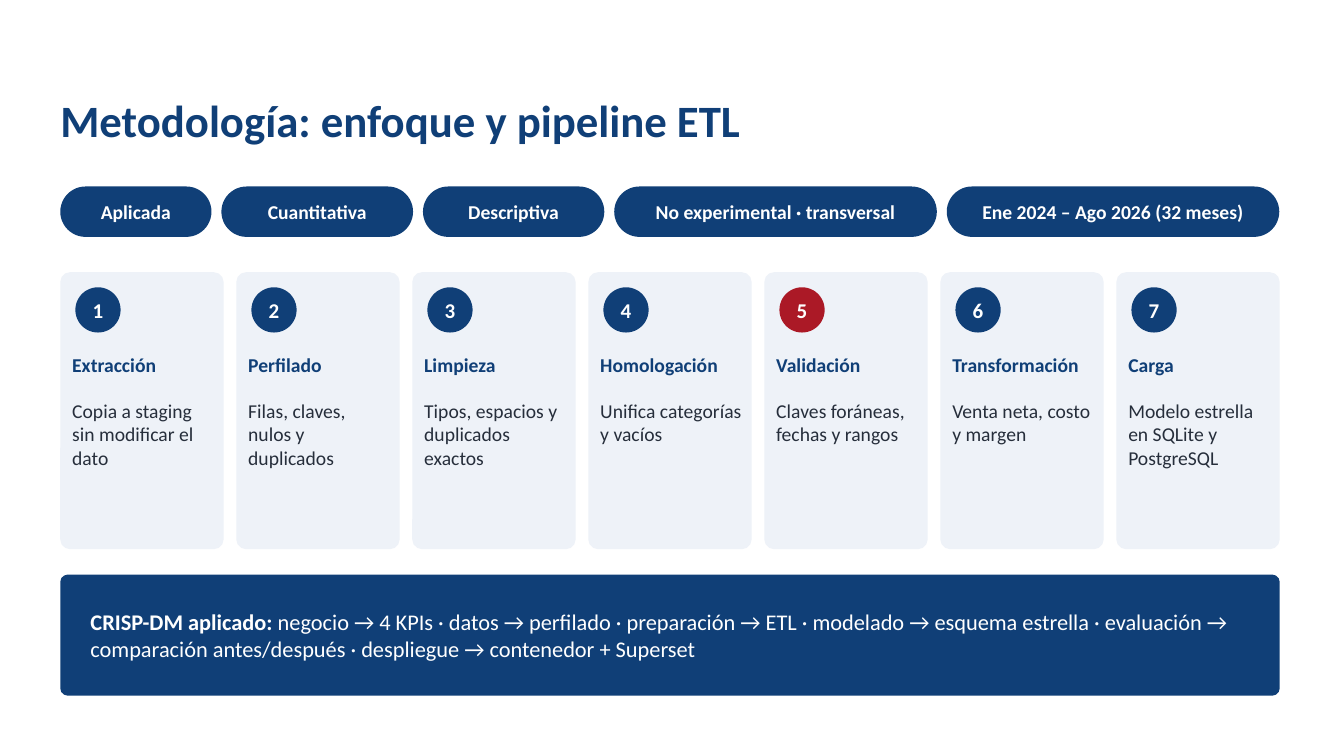
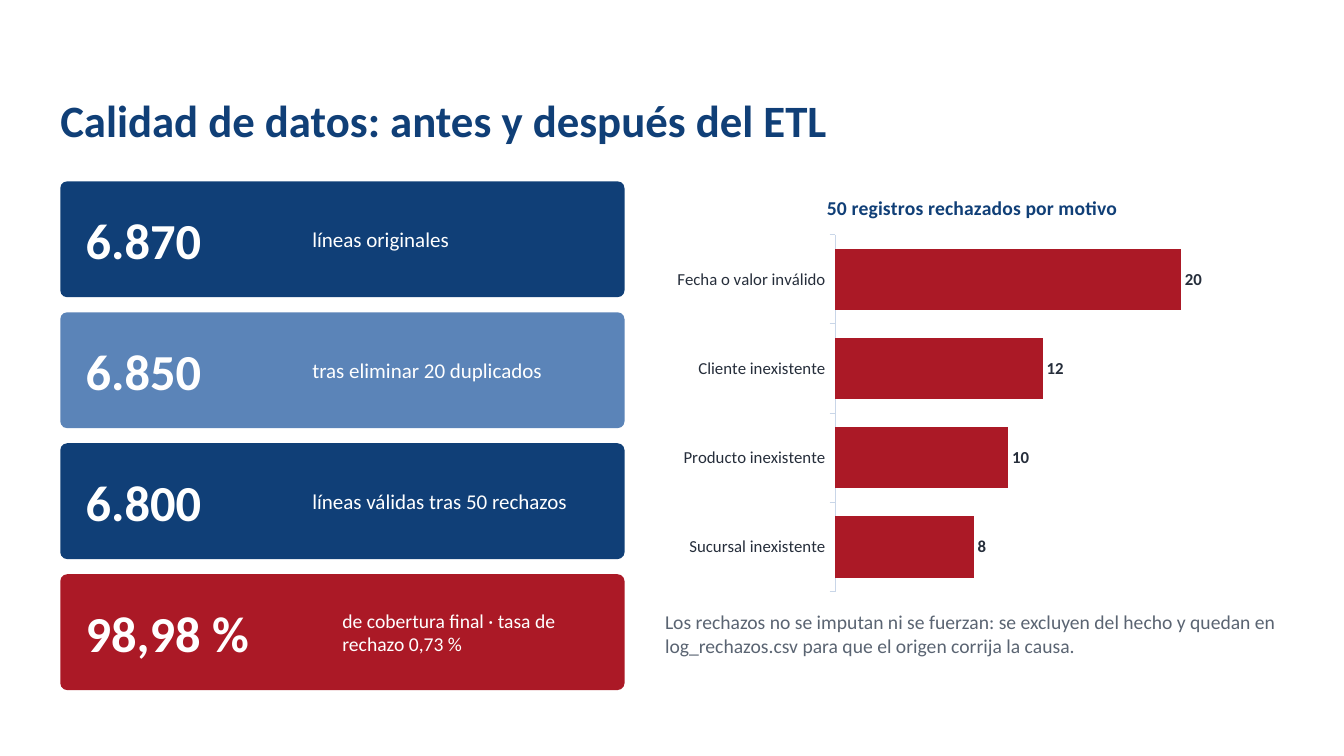
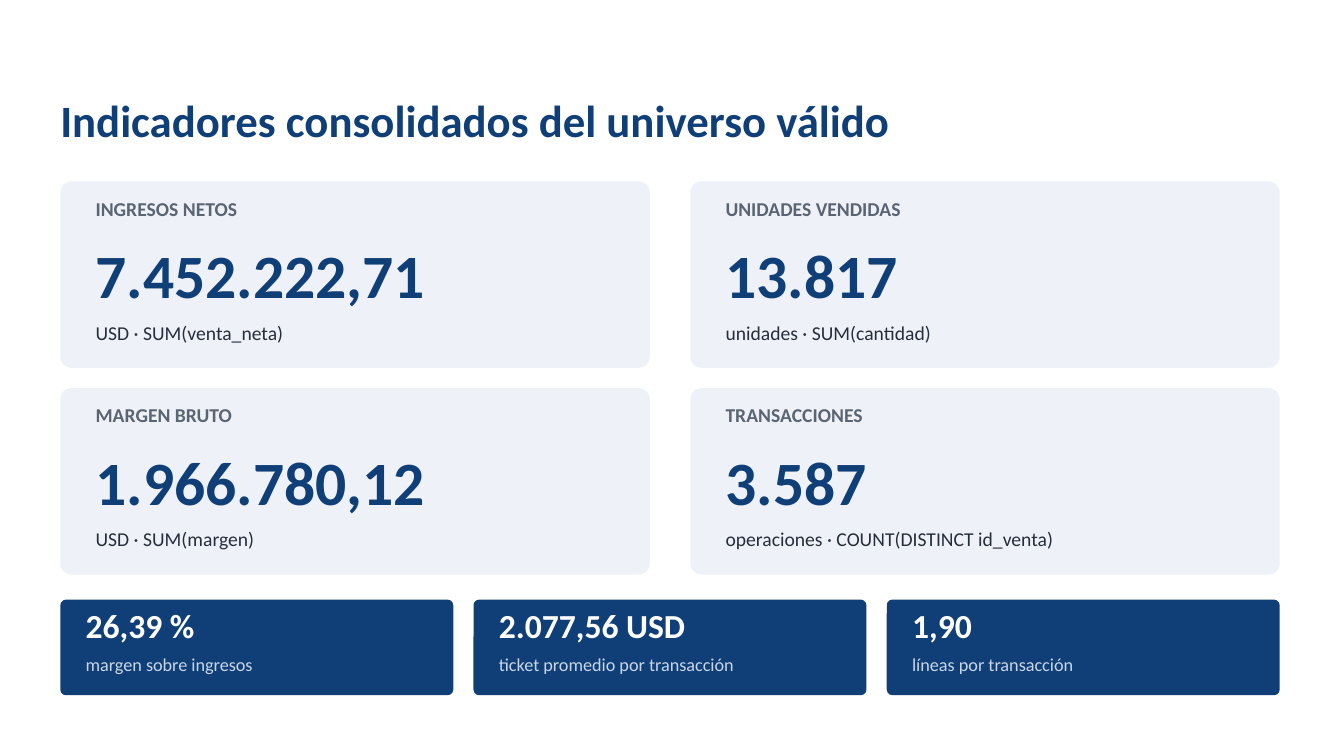
from dataclasses import dataclass

from pptx import Presentation
from pptx.chart.data import CategoryChartData as ChartData
from pptx.dml.color import RGBColor as RGB
from pptx.enum.chart import XL_CHART_TYPE as Kind
from pptx.enum.chart import XL_LABEL_POSITION as Place
from pptx.enum.chart import XL_TICK_MARK as Tick
from pptx.enum.shapes import MSO_SHAPE as Geo
from pptx.enum.text import MSO_ANCHOR as Anchor
from pptx.enum.text import MSO_AUTO_SIZE as Fit
from pptx.enum.text import PP_ALIGN as Align
from pptx.util import Cm, Pt


@dataclass(frozen=True)
class Theme:
    face: str = "Calibri"
    navy: str = "103F77"
    sky: str = "5B84B8"
    red: str = "AB1926"
    pale: str = "EEF2F8"
    mist: str = "C9D6E8"
    ink: str = "262E3B"
    gray: str = "5A6472"
    white: str = "FFFFFF"
    head: int = 32
    huge: int = 44
    big: int = 36
    mid: int = 24
    lead: int = 16
    label: int = 15
    body: int = 14
    small: int = 13
    tiny: int = 12
    left: float = 1.52
    width: float = 30.73
    round: float = 0.06


T = Theme()


def style(font, size, color, bold=False):
    font.name = T.face
    font.size = Pt(size)
    font.bold = bold
    font.color.rgb = RGB.from_string(color)


def place(x, y, w, h):
    return Cm(x), Cm(y), Cm(w), Cm(h)


def split(count, gap):
    wide = (T.width - gap * (count - 1)) / count
    return [T.left + i * (wide + gap) for i in range(count)], wide


def bare(frame, anchor):
    frame.margin_left = frame.margin_right = 0
    frame.margin_top = frame.margin_bottom = 0
    frame.word_wrap = True
    frame.vertical_anchor = anchor


def text(slide, area, words, size, color, bold=False, anchor=Anchor.TOP):
    frame = slide.shapes.add_textbox(*place(*area)).text_frame
    bare(frame, anchor)
    frame.auto_size = Fit.SHAPE_TO_FIT_TEXT
    para = frame.paragraphs[0]
    if words:
        para.text = words
    style(para.font, size, color, bold)
    return para


def shape(slide, geo, area, fill):
    item = slide.shapes.add_shape(geo, *place(*area))
    item.shadow.inherit = False
    item.fill.solid()
    item.fill.fore_color.rgb = RGB.from_string(fill)
    item.line.fill.background()
    return item


def card(slide, area, fill, bend=T.round):
    item = shape(slide, Geo.ROUNDED_RECTANGLE, area, fill)
    item.adjustments[0] = bend
    return item


def center(item, words, size):
    bare(item.text_frame, Anchor.MIDDLE)
    para = item.text_frame.paragraphs[0]
    para.text = words
    para.alignment = Align.CENTER
    style(para.font, size, T.white, True)


def page(deck, title):
    slide = deck.slides.add_slide(deck.slide_layouts[6])
    para = text(slide, (T.left, 2.08, T.width, 2.03), title,
                T.head, T.navy, True, Anchor.MIDDLE)
    para.line_spacing = 0.9
    return slide


def pills(slide, items):
    x = T.left
    for words, wide in items:
        center(card(slide, (x, 4.7, wide, 1.27), T.navy, 0.5), words, T.body)
        x += wide + 0.25


def step(slide, x, wide, num, name, note):
    top = 6.86
    card(slide, (x, top, wide, 6.98), T.pale)
    fill = T.red if num == 5 else T.navy
    dot = shape(slide, Geo.OVAL, (x + 0.38, top + 0.38, 1.14, 1.14), fill)
    center(dot, str(num), T.label)
    text(slide, (x + 0.3, top + 2.03, 3.61, 1.02), name, T.body, T.navy, True)
    text(slide, (x + 0.3, top + 3.18, 3.61, 3.68), note, T.body, T.ink)


def band(slide, lead, rest):
    card(slide, (T.left, 14.48, T.width, 3.05), T.navy)
    para = text(slide, (T.left + 0.76, 14.73, 29.21, 2.54), "",
                T.lead, T.white, anchor=Anchor.MIDDLE)
    run = para.add_run()
    run.text = lead
    run.font.bold = True
    para.add_run().text = rest


def tally(slide, y, fill, value, note, wide=5.84, size=T.label):
    card(slide, (T.left, y, 14.22, 2.92), fill)
    x = T.left + 0.64
    text(slide, (x, y + 0.25, wide, 2.41), value,
         T.big, T.white, True, Anchor.MIDDLE)
    x += wide - 0.13
    text(slide, (x, y + 0.25, 15.24 - x, 2.41), note,
         size, T.white, anchor=Anchor.MIDDLE)


def bars(slide, area, title, rows):
    data = ChartData(number_format="#,##0")
    data.categories = [name for name, count in rows]
    data.add_series("Series 1", [count for name, count in rows])
    frame = slide.shapes.add_chart(Kind.BAR_CLUSTERED, *place(*area), data)
    chart = frame.chart
    style(chart.font, T.tiny, T.ink)
    chart.has_legend = False
    chart.has_title = True
    para = chart.chart_title.text_frame.paragraphs[0]
    para.text = title
    style(para.font, T.body, T.navy, True)
    chart.chart_title.include_in_layout = False

    axis = chart.category_axis
    axis.reverse_order = True
    axis.has_major_gridlines = False
    axis.major_tick_mark = Tick.OUTSIDE
    axis.format.line.color.rgb = RGB.from_string(T.mist)
    axis.format.line.width = Pt(0.75)
    style(axis.tick_labels.font, T.tiny, T.ink)
    scale = chart.value_axis
    scale.visible = False
    scale.has_major_gridlines = False
    scale.minimum_scale = 0

    plot = chart.plots[0]
    plot.gap_width = 45
    plot.vary_by_categories = False
    fill = plot.series[0].format.fill
    fill.solid()
    fill.fore_color.rgb = RGB.from_string(T.red)
    plot.has_data_labels = True
    tags = plot.data_labels
    tags.show_value = True
    tags.position = Place.OUTSIDE_END
    tags.number_format = "#,##0"
    tags.number_format_is_linked = False
    style(tags.font, T.tiny, T.ink, True)


def metric(slide, x, y, wide, name, value, note):
    card(slide, (x, y, wide, 4.7), T.pale)
    x += 0.89
    text(slide, (x, y + 0.38, 13.21, 1.02), name, T.body, T.gray, True)
    text(slide, (x, y + 1.4, 13.21, 2.16), value, T.huge, T.navy, True)
    text(slide, (x, y + 3.51, 13.21, 1.02), note, T.body, T.ink)


def ratio(slide, x, wide, value, note):
    top = 15.11
    card(slide, (x, top, wide, 2.41), T.navy)
    x += 0.64
    text(slide, (x, top + 0.13, 8.64, 1.27), value, T.mid, T.white, True)
    text(slide, (x, top + 1.35, 8.64, 0.89), note, T.small, T.mist)


def method(deck):
    slide = page(deck, "Metodología: enfoque y pipeline ETL")
    pills(slide, [
        ("Aplicada", 3.81),
        ("Cuantitativa", 4.83),
        ("Descriptiva", 4.57),
        ("No experimental · transversal", 8.13),
        ("Ene 2024 – Ago 2026 (32 meses)", 8.38),
    ])
    steps = [
        ("Extracción", "Copia a staging sin modificar el dato"),
        ("Perfilado", "Filas, claves, nulos y duplicados"),
        ("Limpieza", "Tipos, espacios y duplicados exactos"),
        ("Homologación", "Unifica categorías y vacíos"),
        ("Validación", "Claves foráneas, fechas y rangos"),
        ("Transformación", "Venta neta, costo y margen"),
        ("Carga", "Modelo estrella en SQLite y PostgreSQL"),
    ]
    lefts, wide = split(len(steps), 0.32)
    for num, (x, (name, note)) in enumerate(zip(lefts, steps), 1):
        step(slide, x, wide, num, name, note)
    band(slide, "CRISP-DM aplicado: ",
         "negocio → 4 KPIs · datos → perfilado · preparación → ETL · "
         "modelado → esquema estrella · evaluación → comparación "
         "antes/después · despliegue → contenedor + Superset")


def quality(deck):
    slide = page(deck, "Calidad de datos: antes y después del ETL")
    rows = [
        (T.navy, "6.870", "líneas originales"),
        (T.sky, "6.850", "tras eliminar 20 duplicados"),
        (T.navy, "6.800", "líneas válidas tras 50 rechazos"),
        (T.red, "98,98 %", "de cobertura final · tasa de rechazo 0,73 %",
         6.6, T.body),
    ]
    for i, row in enumerate(rows):
        tally(slide, 4.57 + i * 3.3, *row)
    bars(slide, (16.76, 4.45, 15.49, 10.67),
         "50 registros rechazados por motivo", [
             ("Fecha o valor inválido", 20),
             ("Cliente inexistente", 12),
             ("Producto inexistente", 10),
             ("Sucursal inexistente", 8),
         ])
    text(slide, (16.76, 15.37, 15.49, 2.03),
         "Los rechazos no se imputan ni se fuerzan: se excluyen del hecho y "
         "quedan en log_rechazos.csv para que el origen corrija la causa.",
         T.body, T.gray)


def results(deck):
    slide = page(deck, "Indicadores consolidados del universo válido")
    facts = [
        ("INGRESOS NETOS", "7.452.222,71", "USD · SUM(venta_neta)"),
        ("UNIDADES VENDIDAS", "13.817", "unidades · SUM(cantidad)"),
        ("MARGEN BRUTO", "1.966.780,12", "USD · SUM(margen)"),
        ("TRANSACCIONES", "3.587", "operaciones · COUNT(DISTINCT id_venta)"),
    ]
    lefts, wide = split(2, 1.02)
    for i, fact in enumerate(facts):
        row, col = divmod(i, 2)
        metric(slide, lefts[col], 4.57 + row * 5.21, wide, *fact)
    rates = [
        ("26,39 %", "margen sobre ingresos"),
        ("2.077,56 USD", "ticket promedio por transacción"),
        ("1,90", "líneas por transacción"),
    ]
    lefts, wide = split(len(rates), 0.51)
    for x, rate in zip(lefts, rates):
        ratio(slide, x, wide, *rate)


def main():
    deck = Presentation()
    deck.slide_width = Cm(33.87)
    deck.slide_height = Cm(19.05)
    method(deck)
    quality(deck)
    results(deck)
    deck.save("out.pptx")


if __name__ == "__main__":
    main()
